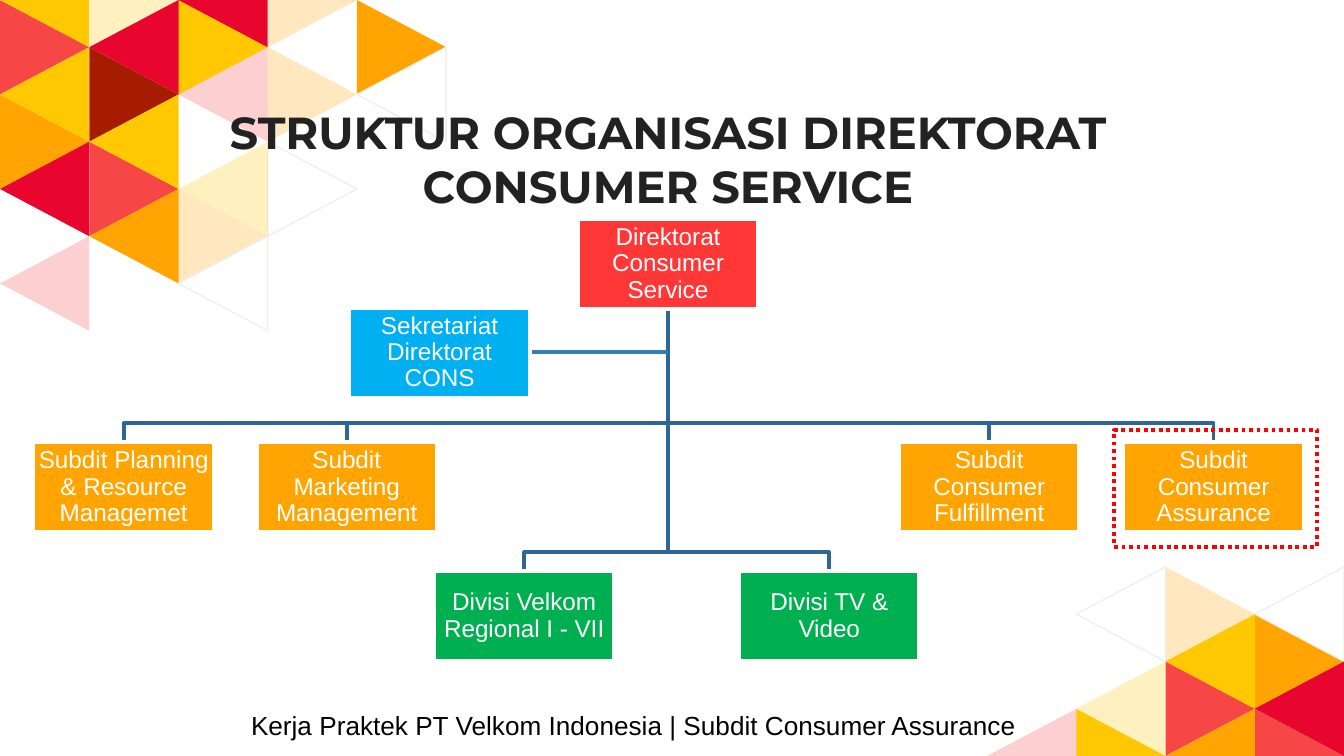
from lxml import etree
from pptx import Presentation
from pptx.dml.color import RGBColor
from pptx.enum.dml import MSO_LINE
from pptx.enum.shapes import MSO_CONNECTOR, MSO_SHAPE
from pptx.enum.text import MSO_ANCHOR, PP_ALIGN
from pptx.oxml.ns import qn
from pptx.util import Inches, Pt

RECTANGLE = MSO_SHAPE.RECTANGLE
STRAIGHT = MSO_CONNECTOR.STRAIGHT
DOTTED = MSO_LINE.ROUND_DOT
CENTER = PP_ALIGN.CENTER
TOP, MIDDLE, BOTTOM = MSO_ANCHOR.TOP, MSO_ANCHOR.MIDDLE, MSO_ANCHOR.BOTTOM

COLORS = {
    "white": "FFFFFF", "hairline": "EFEFEF", "orange": "FFA400",
    "yellow": "FFC800", "coral": "F64646", "crimson": "E8062F",
    "brown": "A61C00", "title": "222222", "black": "000000",
    "director": "FF3737", "secretariat": "00B0F0", "division": "00B050",
    "branch": "2E6795", "staff line": "367EB9", "highlight": "FF0000",
}
WIDTH = 10
HEIGHT = WIDTH * 9 / 16
COLUMN, ROW = 3.32 / 5, HEIGHT / 16
TINT = "25000"
BOX_WIDTH, BOX_HEIGHT, BEND = 1.34, 0.67, 0.14
DIRECTOR = ("Direktorat Consumer Service", 4.3, 1.63, "director")
SECRETARIAT = ("Sekretariat Direktorat CONS", 2.6, 2.29, "secretariat")
UNITS = [
    ("Subdit Planning & Resource Managemet", 0.25, 3.29, "orange"),
    ("Subdit Marketing Management", 1.91, 3.29, "orange"),
    ("Divisi Velkom Regional I - VII", 3.23, 4.25, "division"),
    ("Divisi TV & Video", 5.5, 4.25, "division"),
    ("Subdit Consumer Fulfillment", 6.69, 3.29, "orange"),
    ("Subdit Consumer Assurance", 8.36, 3.29, "orange"),
]
LOWER_MOSAIC = [
    ("right", 2, 0, "orange tint"), ("right", 3, 1, "orange"),
    ("right", 1, 3, "yellow"), ("right", 2, 2, "coral"),
    ("right", 3, 3, "coral"), ("left", 1, 0, "white"),
    ("left", 3, 0, "white"), ("left", 2, 1, "yellow"),
    ("left", 1, 2, "yellow tint"), ("left", 2, 3, "orange"),
    ("left", 3, 2, "crimson"), ("left", 0, 3, "coral tint"),
]
UPPER_MOSAIC = [
    ("right", 0, 2, "orange"), ("right", 1, 1, "brown"),
    ("right", 1, 3, "coral"), ("right", 3, 1, "orange tint"),
    ("right", 2, 4, "orange tint"), ("right", 3, 3, "white"),
    ("right", 0, 0, "coral"), ("right", 1, -1, "yellow tint"),
    ("right", 2, 0, "yellow"), ("right", 3, -1, "orange tint"),
    ("right", 4, 0, "orange"), ("left", 0, 1, "yellow"),
    ("left", 1, 2, "yellow"), ("left", 0, 3, "crimson"),
    ("left", 1, 4, "orange"), ("left", 0, 5, "coral tint"),
    ("left", 2, 1, "coral tint"), ("left", 2, 3, "yellow tint"),
    ("left", 2, 5, "white"), ("left", 4, 1, "white"),
    ("left", 0, -1, "yellow"), ("left", 1, 0, "crimson"),
    ("left", 2, -1, "crimson"),
]


def rgb(name):
    """Return the named colour."""
    return RGBColor.from_string(COLORS[name])


def set_line(line, color, width):
    """Give a line its colour and its width in points."""
    line.color.rgb = rgb(color)
    line.width = Pt(width)


def add_outline(slide, points, close):
    """Draw straight segments through points given in inches."""
    corners = [(Inches(x), Inches(y)) for x, y in points]
    builder = slide.shapes.build_freeform(*corners[0])
    builder.add_line_segments(corners[1:], close=close)
    outline = builder.convert_to_shape()
    outline.shadow.inherit = False
    return outline


def add_mosaic(slide, left, top, rows, triangles):
    """Draw triangles on a grid, cut off at its first and last row."""
    for direction, column, row, color in triangles:
        base, tip = (0, 1) if direction == "right" else (1, 0)
        corners = [(column + base, row), (column + base, row + 2), (column + tip, row + 1)]
        points = [(left + x * COLUMN, top + min(max(y, 0), rows) * ROW) for x, y in corners]
        triangle = add_outline(slide, points, True)
        triangle.fill.solid()
        triangle.fill.fore_color.rgb = rgb(color.removesuffix(" tint"))
        if color.endswith(" tint"):
            tone = triangle.element.spPr.find(".//" + qn("a:srgbClr"))
            etree.SubElement(tone, qn("a:alpha"), val=TINT)
        if color == "white":
            set_line(triangle.line, "hairline", 0.75)
        else:
            triangle.line.fill.background()


def write(frame, text, size, color, anchor, font="Arial", bold=False):
    """Write one centred, wrapping paragraph."""
    frame.word_wrap = True
    frame.vertical_anchor = anchor
    paragraph = frame.paragraphs[0]
    paragraph.text = text
    paragraph.alignment = CENTER
    run = paragraph.runs[0]
    run.font.name, run.font.size, run.font.bold = font, Pt(size), bold
    run.font.color.rgb = rgb(color)


def add_label(slide, place, inset, *style, **options):
    """Add free-standing text with equal top and bottom insets."""
    label = slide.shapes.add_textbox(*map(Inches, place)).text_frame
    label.margin_top = label.margin_bottom = Inches(inset)
    write(label, *style, **options)


def add_unit(slide, name, left, top, color):
    """Add one box of the organisation chart."""
    unit = slide.shapes.add_shape(RECTANGLE, *map(Inches, (left, top, BOX_WIDTH, BOX_HEIGHT)))
    unit.shadow.inherit = False
    unit.fill.solid()
    unit.fill.fore_color.rgb = rgb(color)
    set_line(unit.line, "white", 2)
    frame = unit.text_frame
    frame.margin_left = frame.margin_right = Inches(0.01)
    frame.margin_top = frame.margin_bottom = Inches(0.01)
    write(frame, name, 13, "white", MIDDLE)
    frame.paragraphs[0].line_spacing = 0.9


def add_branch(slide, left, top):
    """Draw the bent line from the director down to a unit."""
    trunk, target = DIRECTOR[1] + BOX_WIDTH / 2, left + BOX_WIDTH / 2
    start, bend = DIRECTOR[2] + BOX_HEIGHT, top - BEND
    points = [(trunk, start), (trunk, bend), (target, bend), (target, top)]
    branch = add_outline(slide, points, False)
    branch.fill.background()
    set_line(branch.line, "branch", 2)


def add_staff_line(slide):
    """Draw the line from the secretariat to the trunk."""
    ends = map(Inches, (3.96, 2.62, 4.97, 2.62))
    staff_line = slide.shapes.add_connector(STRAIGHT, *ends)
    set_line(staff_line.line, "staff line", 2.25)
    etree.SubElement(staff_line.element.spPr, qn("a:effectLst"))


def add_highlight(slide):
    """Frame the highlighted unit with dots."""
    frame = slide.shapes.add_shape(RECTANGLE, *map(Inches, (8.29, 3.2, 1.51, 0.87)))
    frame.shadow.inherit = False
    frame.fill.background()
    set_line(frame.line, "highlight", 2)
    frame.line.dash_style = DOTTED


def main():
    """Build the organisation slide and save it."""
    deck = Presentation()
    deck.slide_width, deck.slide_height = Inches(WIDTH), Inches(HEIGHT)
    slide = deck.slides.add_slide(deck.slide_layouts[6])
    add_mosaic(slide, WIDTH - 4 * COLUMN, HEIGHT - 4 * ROW, 4, LOWER_MOSAIC)
    add_mosaic(slide, 0, 0, 7, UPPER_MOSAIC)
    add_label(slide, (1.44, 0.95, 7.06, 0.73), 0.1,
              "STRUKTUR ORGANISASI DIREKTORAT CONSUMER SERVICE",
              24, "title", BOTTOM, font="Montserrat", bold=True)
    for _, left, top, _ in reversed(UNITS):
        add_branch(slide, left, top)
    for unit in [DIRECTOR, *UNITS, SECRETARIAT]:
        add_unit(slide, *unit)
    add_staff_line(slide)
    add_label(slide, (0.93, 5.23, 7.57, 0.4), 0.05,
              "Kerja Praktek PT Velkom Indonesia | Subdit Consumer Assurance",
              14, "black", TOP)
    add_highlight(slide)
    deck.save("out.pptx")


if __name__ == "__main__":
    main()
